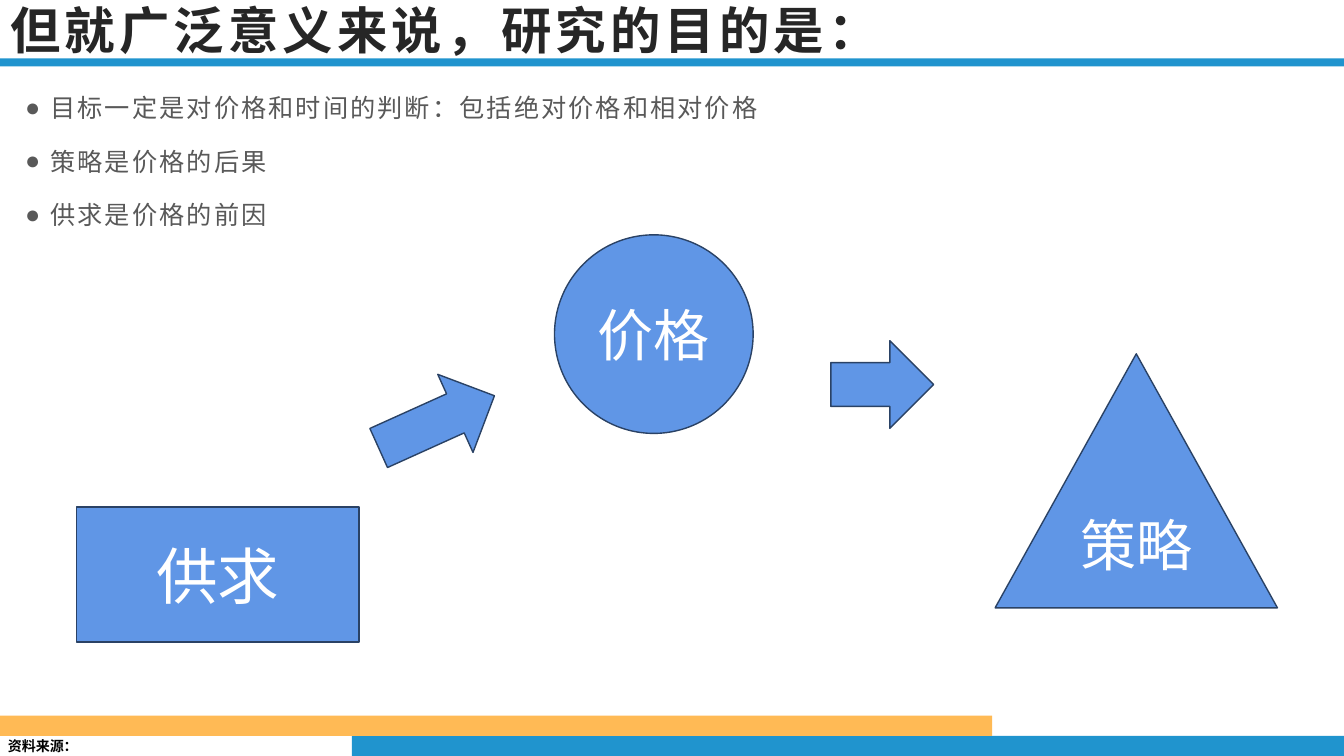
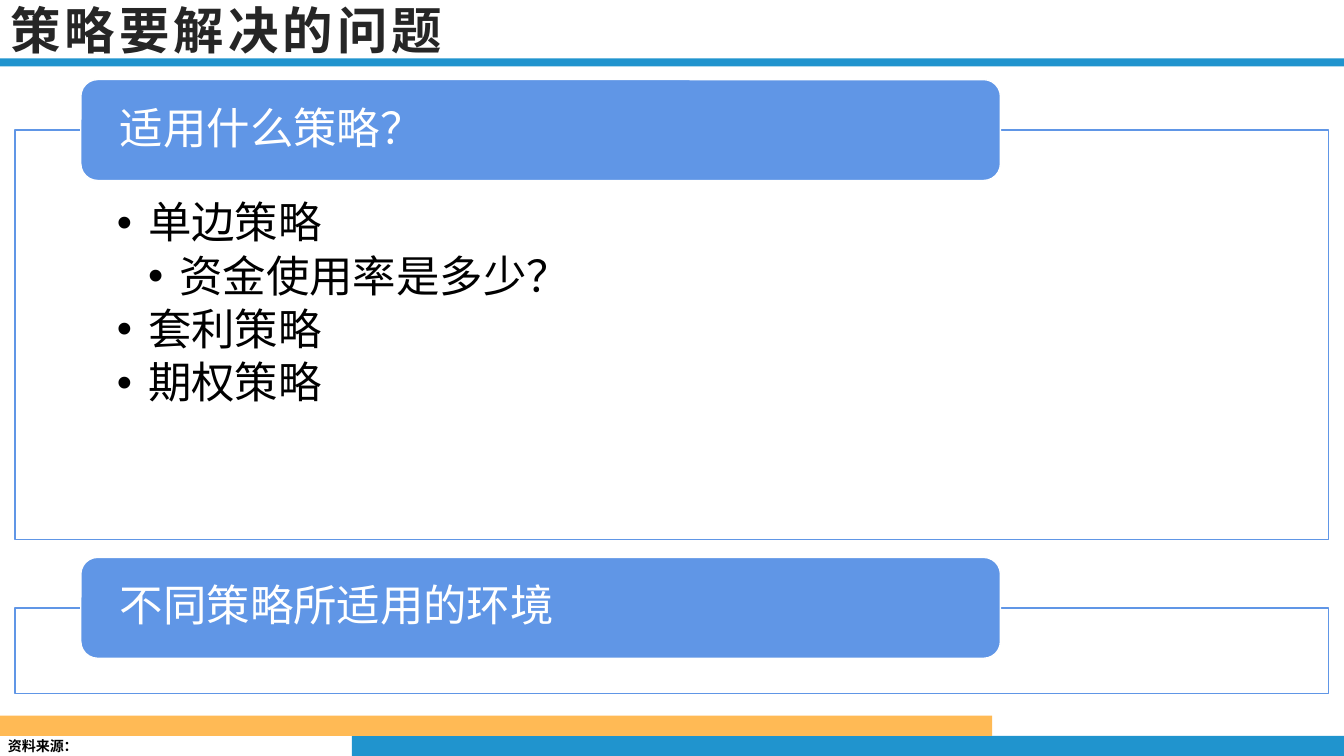
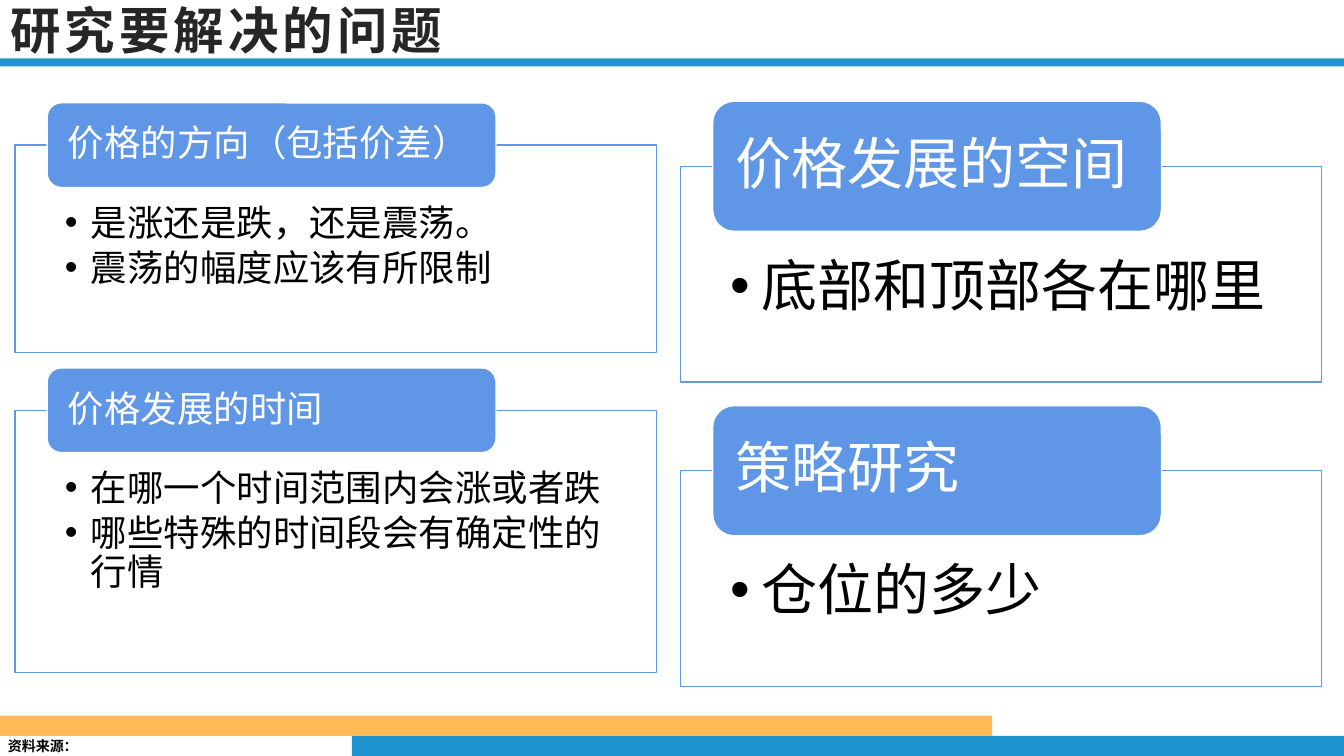
from lxml import etree
from pptx import Presentation
from pptx.dml.color import RGBColor
from pptx.enum.shapes import MSO_SHAPE
from pptx.enum.text import MSO_ANCHOR, MSO_AUTO_SIZE, PP_ALIGN
from pptx.oxml.ns import qn
from pptx.util import Inches, Pt

RECT, ROUND = MSO_SHAPE.RECTANGLE, MSO_SHAPE.ROUNDED_RECTANGLE
OVAL, ARROW = MSO_SHAPE.OVAL, MSO_SHAPE.RIGHT_ARROW
PEAK = MSO_SHAPE.ISOSCELES_TRIANGLE
TOP, MIDDLE = MSO_ANCHOR.TOP, MSO_ANCHOR.MIDDLE
LEFT, CENTER = PP_ALIGN.LEFT, PP_ALIGN.CENTER

BLUE = RGBColor(0x60, 0x96, 0xE6)
NAVY = RGBColor(0x2A, 0x42, 0x65)
SKY = RGBColor(0x20, 0x94, 0xCE)
AMBER = RGBColor(0xFF, 0xBA, 0x55)
DARK = RGBColor(0x26, 0x26, 0x26)
GRAY = RGBColor(0x59, 0x59, 0x59)
BLACK = RGBColor(0, 0, 0)
WHITE = RGBColor(255, 255, 255)
LATIN, HAN = "Arial", "Noto Sans CJK SC"

WIDTH, HEIGHT = 13.33, 7.5
BAND = 9.84
BANDS = [
    ((WIDTH - BAND, 7.3, BAND, 0.2), SKY),
    ((0, 7.1, BAND, 0.2), AMBER),
    ((0, 0.58, WIDTH, 0.08), SKY),
]
SOURCE = "资料来源："

GOALS = {
    "title": "但就广泛意义来说，研究的目的是：",
    "points": [
        "目标一定是对价格和时间的判断：包括绝对价格和相对价格",
        "策略是价格的后果",
        "供求是价格的前因",
    ],
    # kind, box, turn, text, size
    "flow": [
        (OVAL, (5.5, 2.33, 1.97, 1.97), 0, "价格", 40),
        (ARROW, (8.24, 3.38, 1.02, 0.87), 0, "", 40),
        (PEAK, (9.87, 3.51, 2.8, 2.52), 0, "策略", 40),
        (ARROW, (3.7, 3.76, 1.26, 0.85), 335.7, "", 40),
        (RECT, (0.76, 5.03, 2.8, 1.34), 0, "供求", 44),
    ],
}
# head, box, size, items as (level, text)
PANELS = {
    "策略要解决的问题": [
        ("适用什么策略？", (0.15, 1.29, 13.03, 4.06), 31,
         [(1, "单边策略"), (2, "资金使用率是多少？"),
          (1, "套利策略"), (1, "期权策略")]),
        ("不同策略所适用的环境", (0.15, 6.03, 13.03, 0.85), 31, []),
    ],
    "研究要解决的问题": [
        ("价格的方向（包括价差）", (0.15, 1.44, 6.36, 2.06), 26,
         [(1, "是涨还是跌，还是震荡。"), (1, "震荡的幅度应该有所限制")]),
        ("价格发展的时间", (0.15, 4.07, 6.36, 2.6), 26,
         [(1, "在哪一个时间范围内会涨或者跌"),
          (1, "哪些特殊的时间段会有确定性的行情")]),
        ("价格发展的空间", (6.75, 1.65, 6.36, 2.14), 40,
         [(1, "底部和顶部各在哪里")]),
        ("策略研究", (6.75, 4.67, 6.36, 2.14), 40, [(1, "仓位的多少")]),
    ],
}


def place(shape, box):
    for name, value in zip(("left", "top", "width", "height"), box):
        setattr(shape, name, Inches(value))


def draw(slide, kind, box, fill, line=None):
    shape = slide.shapes.add_shape(kind, *map(Inches, box))
    shape.shadow.inherit = False
    shape.fill.solid()
    shape.fill.fore_color.rgb = fill
    if line is None:
        shape.line.fill.background()
    else:
        shape.line.color.rgb = line
        shape.line.width = Pt(1)
    return shape


def frame(shape, anchor=MIDDLE, pad=(0.1, 0.05, 0.1, 0.05)):
    text = shape.text_frame
    text.word_wrap = True
    text.auto_size = MSO_AUTO_SIZE.NONE
    text.vertical_anchor = anchor
    for side, value in zip(("left", "top", "right", "bottom"), pad):
        setattr(text, f"margin_{side}", Inches(value))
    return text


def write(para, text, size, color, font=LATIN, bold=False, track=0,
          align=LEFT, lead=1.0, after=0):
    look = {"alignment": align, "line_spacing": lead,
            "space_before": Pt(0), "space_after": Pt(after)}
    for name, value in look.items():
        setattr(para, name, value)
    run = para.add_run()
    run.text = text
    for name, value in {"size": Pt(size), "bold": bold, "name": font}.items():
        setattr(run.font, name, value)
    run.font.color.rgb = color
    props = run.font._element
    if track:
        props.set("spc", str(int(track * 100)))
    etree.SubElement(props, qn("a:ea")).set("typeface", HAN)


def bullet(para, mark, step, level=1):
    props = para._p.get_or_add_pPr()
    props.set("marL", str(Inches(step * level)))
    props.set("indent", str(-Inches(step)))
    etree.SubElement(props, qn("a:buFont")).set("typeface", LATIN)
    etree.SubElement(props, qn("a:buChar")).set("char", mark)


def listing(text, items, mark, step, **look):
    """Write (level, text) items as bulleted paragraphs."""
    for i, (level, item) in enumerate(items):
        para = text.add_paragraph() if i else text.paragraphs[0]
        write(para, item, **look)
        bullet(para, mark, step, level)


def dress(prs, slide):
    """Draw the shared bands and source line, then move them to the master."""
    parts = [draw(slide, RECT, box, fill) for box, fill in BANDS]
    note = slide.shapes.add_textbox(*map(Inches, (-0.02, 7.27, 0.92, 0.27)))
    write(frame(note).paragraphs[0], SOURCE, 10, BLACK, HAN, True)
    for part in parts + [note]:
        prs.slide_master.shapes.element.append(part.element)


def start(prs, layout, title):
    slide = prs.slides.add_slide(prs.slide_layouts[layout])
    head = slide.shapes.title
    place(head, (0, 0, 11.44, 0.58))
    write(frame(head).paragraphs[0], title, 36, DARK, HAN, True, 3)
    return slide


def panel(slide, head, box, size, items):
    """Draw an outlined box with a heading bar across its top edge."""
    left, top, width, _ = box
    bar = size * 0.0323
    side = width * 0.0775
    body = draw(slide, RECT, box, WHITE, BLUE)
    text = frame(body, TOP, (side, bar * 0.705, side, bar * 0.24))
    listing(text, items, "•", min(0.31, size * 0.01), size=size,
            color=BLACK, lead=0.9, after=size * 0.15)
    tab = draw(slide, ROUND, (left + width * 0.05, top - bar / 2,
                              width * 0.7, bar), BLUE, WHITE)
    pad = width * 0.026
    text = frame(tab, MIDDLE, (pad, 0, pad, 0))
    write(text.paragraphs[0], head, size, WHITE, lead=0.9)


def main():
    prs = Presentation()
    prs.slide_width, prs.slide_height = Inches(WIDTH), Inches(HEIGHT)

    slide = start(prs, 1, GOALS["title"])
    dress(prs, slide)
    body = slide.placeholders[1]
    place(body, (0.15, 0.78, 13.03, 6.13))
    listing(frame(body, TOP), [(1, point) for point in GOALS["points"]],
            "●", 0.25, size=18, color=GRAY, track=1.5, lead=1.3, after=10)
    for kind, box, turn, text, size in GOALS["flow"]:
        shape = draw(slide, kind, box, BLUE, NAVY)
        shape.rotation = turn
        if text:
            write(frame(shape).paragraphs[0], text, size, WHITE, align=CENTER)

    for title, panels in PANELS.items():
        slide = start(prs, 5, title)
        for item in panels:
            panel(slide, *item)

    prs.save("out.pptx")


if __name__ == "__main__":
    main()
